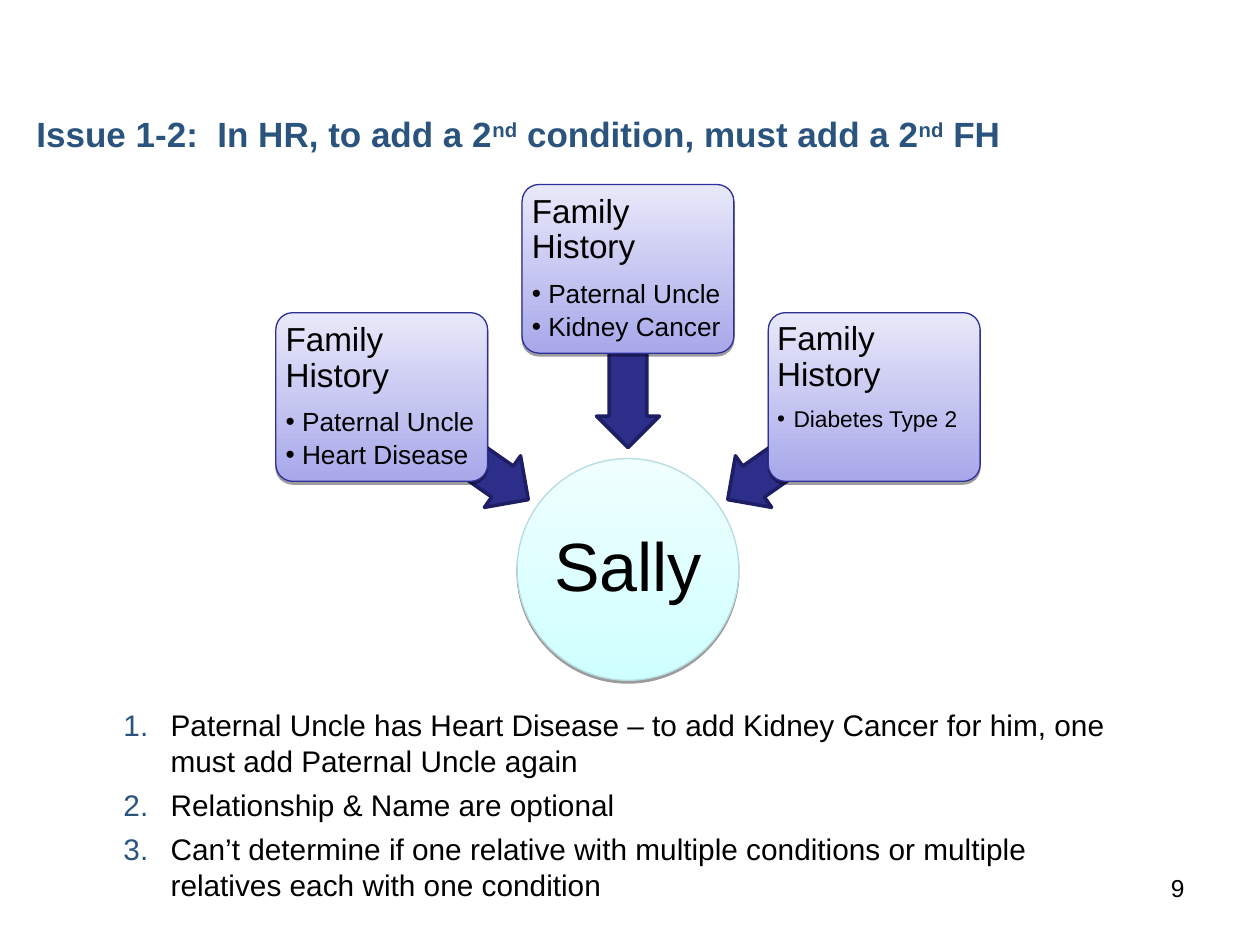
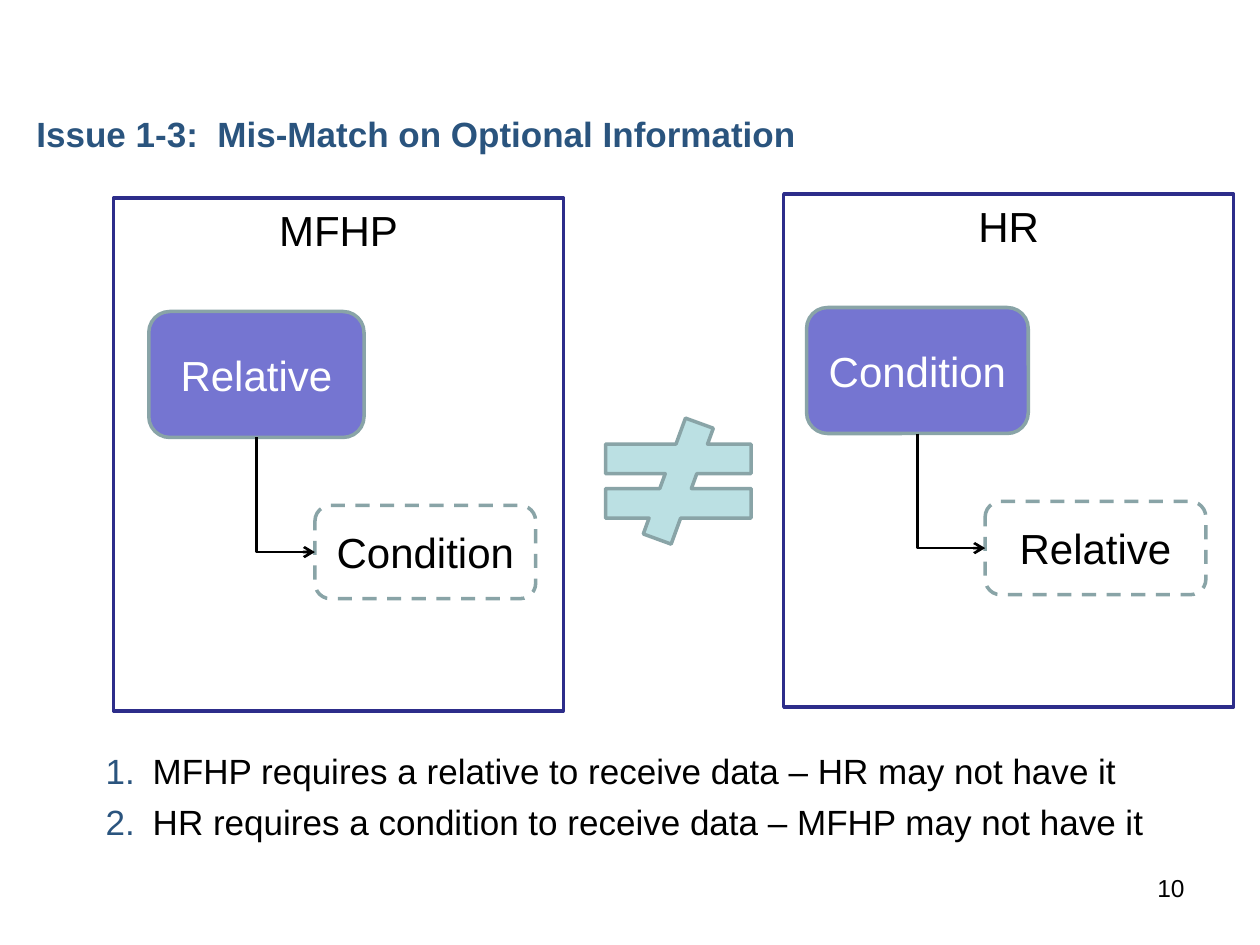
from math import cos, radians, sin

from lxml import etree
from pptx import Presentation
from pptx.dml.color import RGBColor
from pptx.enum.dml import MSO_LINE
from pptx.enum.shapes import MSO_CONNECTOR, MSO_SHAPE
from pptx.enum.text import MSO_ANCHOR, PP_ALIGN
from pptx.oxml.ns import qn
from pptx.util import Cm, Pt

LEFT, MID, RIGHT = PP_ALIGN.LEFT, PP_ALIGN.CENTER, PP_ALIGN.RIGHT
TOP, CENTER, BOTTOM = MSO_ANCHOR.TOP, MSO_ANCHOR.MIDDLE, MSO_ANCHOR.BOTTOM
RECT, ROUND, OVAL = MSO_SHAPE.RECTANGLE, MSO_SHAPE.ROUNDED_RECTANGLE, MSO_SHAPE.OVAL
ARROW, UNEQUAL = MSO_SHAPE.LEFT_ARROW, MSO_SHAPE.MATH_NOT_EQUAL
ELBOW, DASH = MSO_CONNECTOR.ELBOW, MSO_LINE.DASH

FONT = "Arial"
COLORS = {
    "title": "2A547E", "text": "000000", "white": "FFFFFF",
    "navy": "2D2D8A", "deep": "1E1E64", "edge": "2F2F98",
    "lilac": "A8A8EA", "mist": "E8E8FA",
    "aqua": "CFFFFF", "foam": "F0FFFF", "rim": "B6DCDF",
    "violet": "7575D1", "gray": "89A4A7", "teal": "BBE0E3",
}

# Title parts: (text, raised)
SPOKES = {
    "title": [("Issue 1-2:  In HR, to add a 2", False), ("nd", True),
              (" condition, must add a 2", False), ("nd", True), (" FH", False)],
    "notes": ["Paternal Uncle has Heart Disease – to add Kidney Cancer for him, "
              "one must add Paternal Uncle again",
              "Relationship & Name are optional",
              "Can’t determine if one relative with multiple conditions or "
              "multiple relatives each with one condition"],
    "box": (2.24, 14.12, 21.08, 4.52), "size": 17, "page": "9",
}
MATCH = {
    "title": [("Issue 1-3:  Mis-Match on Optional Information", False)],
    "notes": ["MFHP requires a relative to receive data – HR may not have it",
              "HR requires a condition to receive data – MFHP may not have it"],
    "box": (1.88, 14.99, 22.58, 3.63), "size": 20, "page": "10",
}

HUB = "Sally"
HEAD = "Family History"
# Angle from the hub, facts, size of facts, inset
CARDS = [
    (215, ["Paternal Uncle", "Heart Disease"], 15, 0.1),
    (270, ["Paternal Uncle", "Kidney Cancer"], 15, 0.1),
    (325, ["Diabetes Type 2"], 13, 0.08),
]
# Name, left, top, needed part (text, indent, width), optional part
PANELS = [
    ("MFHP", 2.29, 3.99, ("Relative", 0.71, 4.34), "Condition"),
    ("HR", 15.8, 3.91, ("Condition", 0.46, 4.47), "Relative"),
]


def rgb(name):
    return RGBColor.from_string(COLORS[name])


def style(para, size, color="text", bold=False):
    for run in para.runs:
        run.font.name, run.font.size = FONT, Pt(size)
        run.font.bold, run.font.color.rgb = bold, rgb(color)


def bullet(para, indent, kind, color, **attrs):
    """Hang the paragraph and give it a mark of the kind buChar or buAutoNum."""
    props = para._p.get_or_add_pPr()
    props.set("marL", str(Cm(indent)))
    props.set("indent", str(-Cm(indent)))
    tint = etree.SubElement(props, qn("a:buClr"))
    etree.SubElement(tint, qn("a:srgbClr"), val=COLORS[color])
    etree.SubElement(props, qn("a:buFont"), typeface=FONT)
    etree.SubElement(props, qn(f"a:{kind}"), **attrs)


def add_text(slide, box):
    frame = slide.shapes.add_textbox(*map(Cm, box)).text_frame
    frame.word_wrap = True
    return frame


def add_shape(slide, kind, box, fill, line, width):
    """Fill is a colour name, a pair from bottom to top, or None."""
    shape = slide.shapes.add_shape(kind, *map(Cm, box))
    shape.shadow.inherit = False
    if fill is None:
        shape.fill.background()
    elif isinstance(fill, tuple):
        shape.fill.gradient()
        shape.fill.gradient_angle = 90
        for stop, name in zip(shape.fill.gradient_stops, fill):
            stop.color.rgb = rgb(name)
    else:
        shape.fill.solid()
        shape.fill.fore_color.rgb = rgb(fill)
    shape.line.color.rgb = rgb(line)
    shape.line.width = Pt(width)
    return shape


def around(x, y, wide, high):
    return x - wide / 2, y - high / 2, wide, high


def drop(shape):
    """Cast a sharp shadow straight down."""
    effects = shape._element.spPr.find(qn("a:effectLst"))
    cast = etree.SubElement(effects, qn("a:outerShdw"), blurRad="0",
                            dist=str(Pt(1.6)), dir="5400000", rotWithShape="0")
    tint = etree.SubElement(cast, qn("a:srgbClr"), val=COLORS["text"])
    etree.SubElement(tint, qn("a:alpha"), val="38000")


def inset(frame, gap):
    frame.margin_left = frame.margin_right = Cm(gap)
    frame.margin_top = frame.margin_bottom = Cm(gap)


def label(shape, text, size, color="text", anchor=CENTER):
    frame = shape.text_frame
    frame.text, frame.vertical_anchor = text, anchor
    para = frame.paragraphs[0]
    para.alignment = MID
    style(para, size, color)
    return para


def add_slide(prs, data):
    slide = prs.slides.add_slide(prs.slide_layouts[5])
    title = slide.shapes.title
    title.left, title.top, title.width, title.height = map(
        Cm, (0.48, 1.19, 24.92, 2.06))
    title.text_frame.vertical_anchor = BOTTOM
    para = title.text_frame.paragraphs[0]
    para.alignment = LEFT
    for text, raised in data["title"]:
        run = para.add_run()
        run.text = text
        if raised:
            run._r.get_or_add_rPr().set("baseline", "30000")
    style(para, 20, "title", True)

    frame = add_text(slide, data["box"])
    frame.text = "\n".join(data["notes"])
    for i, para in enumerate(frame.paragraphs):
        bullet(para, 0.95, "buAutoNum", "title", type="arabicPeriod")
        para.space_before = Pt(5 if i else 0)
        style(para, data["size"])

    frame = add_text(slide, (18.21, 17.48, 5.92, 1.32))
    frame.text = data["page"]
    frame.paragraphs[0].alignment = RIGHT
    style(frame.paragraphs[0], 14)
    return slide


def add_card(slide, x, y, facts, size, gap):
    card = add_shape(slide, ROUND, around(x, y, 4.27, 3.4),
                     ("lilac", "mist"), "edge", 0.75)
    card.adjustments[0] = 0.1
    drop(card)
    frame = card.text_frame
    inset(frame, gap)
    frame.vertical_anchor = TOP
    frame.text = "\n".join([HEAD] + facts)
    for i, para in enumerate(frame.paragraphs):
        para.alignment = LEFT
        para.line_spacing = 0.9
        para.space_after = Pt(2.8 if i else 8.2)
        if i:
            bullet(para, 0.33, "buChar", "text", char="•")
        style(para, size if i else 19)


def draw_spokes(slide):
    x, y = 12.66, 11.48
    hub = add_shape(slide, OVAL, around(x, y, 4.47, 4.47),
                    ("aqua", "foam"), "rim", 0.75)
    drop(hub)
    inset(hub.text_frame, 0.08)
    para = label(hub, HUB, 39)
    para.line_spacing, para.space_after = 0.9, Pt(17)

    for turn, facts, size, gap in CARDS:
        dx, dy = cos(radians(turn)), sin(radians(turn))
        arrow = add_shape(slide, ARROW,
                          around(x + 4.26 * dx, y + 4.26 * dy, 3.61, 1.27),
                          "navy", "deep", 2)
        arrow.adjustments[0], arrow.adjustments[1] = 0.6, 0.5
        arrow.rotation = turn
        add_card(slide, x + 6.06 * dx, y + 6.06 * dy, facts, size, gap)


def add_elbow(slide, x1, y1, x2, y2):
    """Arrow that runs down, then right, as a turned and mirrored bend."""
    x, y = (x1 + x2) / 2, (y1 + y2) / 2
    wide, high = y2 - y1, x2 - x1
    bend = slide.shapes.add_connector(ELBOW, *map(Cm, (
        x + wide / 2, y - high / 2, x - wide / 2, y + high / 2)))
    bend.line.color.rgb = rgb("text")
    bend.line.width = Pt(1.5)
    props = bend._element.spPr
    props.find(qn("a:xfrm")).set("rot", "16200000")
    props.find(qn("a:prstGeom")).set("prst", "bentConnector2")
    etree.SubElement(props.find(qn("a:ln")), qn("a:tailEnd"), type="arrow")
    etree.SubElement(props, qn("a:effectLst"))


def draw_match(slide):
    for name, x, y, (need, indent, wide), extra in PANELS:
        panel = add_shape(slide, RECT, (x, y, 9.07, 10.34), "white", "navy", 2)
        label(panel, name, 24, anchor=TOP)

        left, top, high = x + indent, y + 2.29, 2.54
        solid = add_shape(slide, ROUND, (left, top, wide, high),
                          "violet", "gray", 2)
        label(solid, need, 24, "white")

        end, low, deep = x + 4.06, y + 6.2, 1.88
        dashed = add_shape(slide, ROUND, (end, low, 4.45, deep), None, "gray", 2)
        dashed.line.dash_style = DASH
        label(dashed, extra, 24)
        add_elbow(slide, left + wide / 2, top + high, end, low + deep / 2)

    add_shape(slide, UNEQUAL, (11.68, 8.43, 3.99, 2.54), "teal", "gray", 2)


def main():
    prs = Presentation()
    prs.slide_width, prs.slide_height = Cm(25.4), Cm(19.05)
    draw_spokes(add_slide(prs, SPOKES))
    draw_match(add_slide(prs, MATCH))
    prs.save("out.pptx")


if __name__ == "__main__":
    main()
